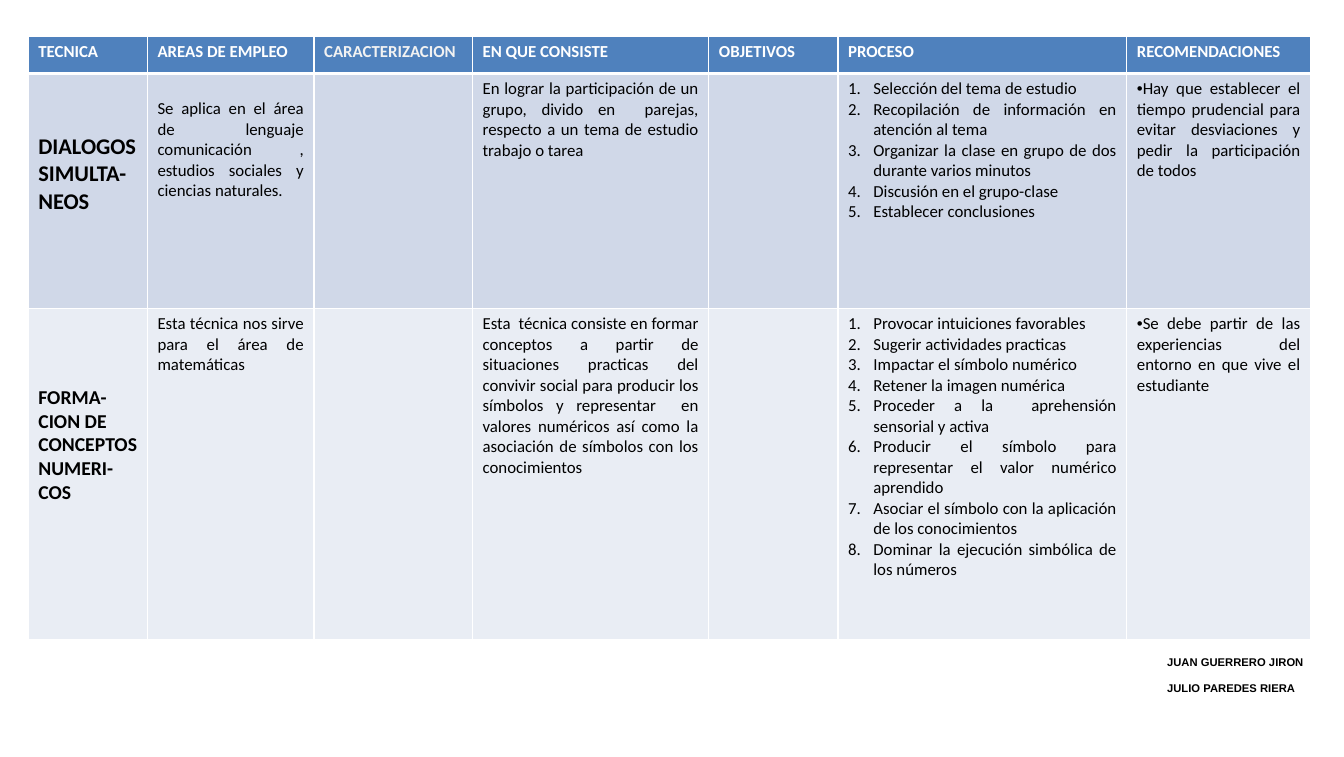
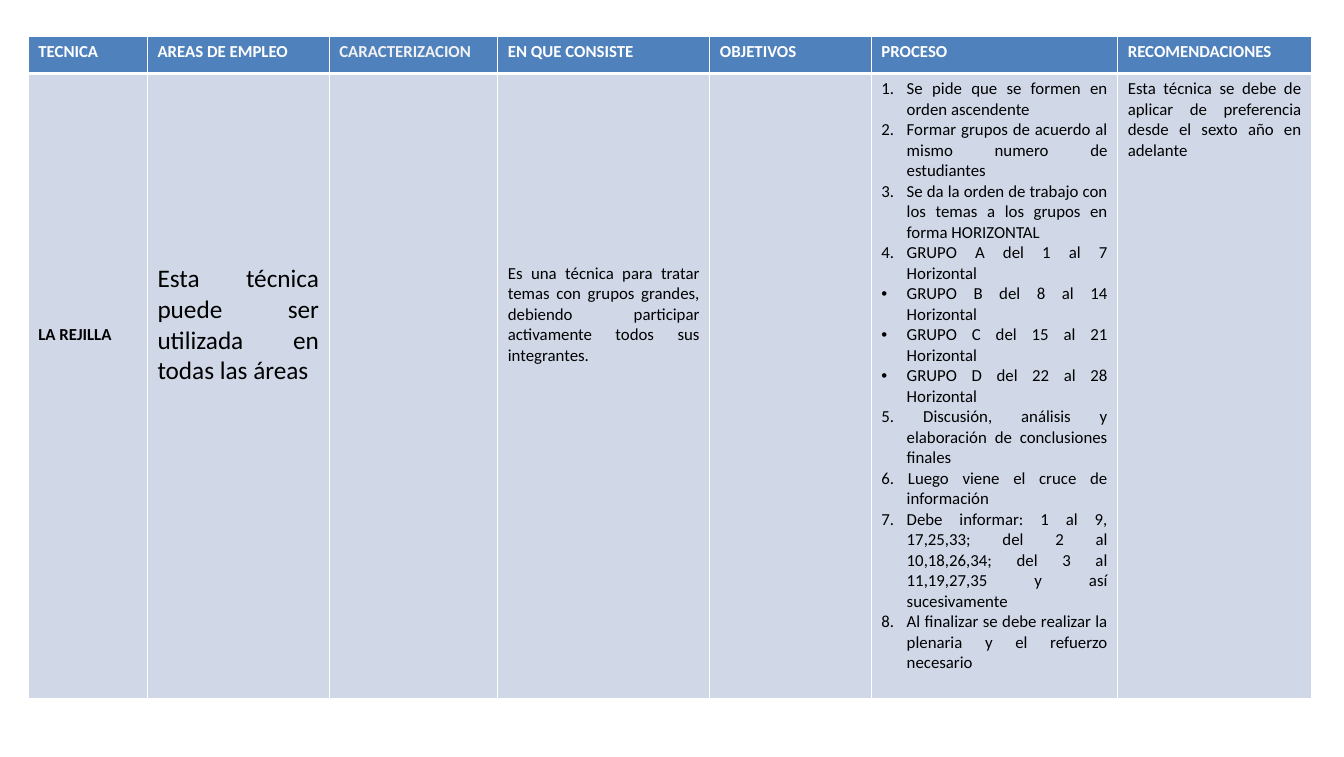
from dataclasses import dataclass
from typing import Optional

from lxml.etree import SubElement
from pptx import Presentation
from pptx.dml.color import RGBColor
from pptx.enum.text import MSO_ANCHOR as Anchor, PP_ALIGN as Align
from pptx.oxml.ns import qn
from pptx.util import Inches, Pt

BLUE, PALE, LIGHT = "4F81BD", "D0D8E8", "E9EDF4"
WHITE, OFF_WHITE, BLACK = "FFFFFF", "F2F2F2", "000000"
HEADERS = ("TECNICA", "AREAS DE EMPLEO", "CARACTERIZACION", "EN QUE CONSISTE",
           "OBJETIVOS", "PROCESO", "RECOMENDACIONES")
HEADER_HEIGHT = 0.37
BANDS = (PALE, LIGHT)


@dataclass(frozen=True)
class Line:
    """A paragraph with an optional bullet or number."""
    text: str
    mark: Optional[str] = None
    hang: float = 0
    start: int = 1


@dataclass(frozen=True)
class Entry:
    """The content of a table cell."""
    lines: tuple[Line, ...] = ()
    size: int = 12
    bold: bool = False
    color: str = BLACK
    align: Align = Align.JUSTIFY
    top: float = 0.05


@dataclass(frozen=True)
class Row:
    """A body row and its height."""
    height: float
    entries: tuple[Entry, ...]


@dataclass(frozen=True)
class Sheet:
    """A slide with one table and its authors."""
    widths: tuple[float, ...]
    rows: tuple[Row, ...]
    authors: tuple[str, ...] = ()


def rgb(value: str) -> RGBColor:
    """Return a colour from its hex string."""
    return RGBColor.from_string(value)


def plain(text: str, size: int = 12, top: float = 0.05) -> Entry:
    """Return a justified one-paragraph entry."""
    return Entry((Line(text),), size=size, top=top)


def name(text: str, size: int, top: float) -> Entry:
    """Return the bold name of a technique."""
    return Entry((Line(text),), size, True, align=Align.LEFT, top=top)


def steps(*texts: str, start: int = 1) -> tuple[Line, ...]:
    """Return numbered lines."""
    return tuple(Line(t, "number", 0.25, start) for t in texts)


def advice(text: str) -> Entry:
    """Return a bulleted recommendation."""
    return Entry((Line(text, "•"),))


EMPTY = Entry()

SHEETS = (
    Sheet(
        (1.18, 1.65, 1.57, 2.34, 1.28, 2.86, 1.82),
        (
            Row(2.33, (
                name("DIALOGOS SIMULTA-NEOS", 16, 0.59),
                plain("Se aplica en el área de lenguaje comunicación , estudios "
                      "sociales y ciencias naturales.", top=0.25),
                EMPTY,
                plain("En lograr la participación de un grupo, divido en  parejas, "
                      "respecto a un tema de estudio trabajo o tarea"),
                EMPTY,
                Entry(steps(
                    "Selección del tema de estudio",
                    "Recopilación de información en atención al tema",
                    "Organizar la clase en grupo de dos durante varios minutos",
                    "Discusión en el grupo-clase",
                    "Establecer conclusiones")),
                advice("Hay que establecer el tiempo prudencial para evitar "
                       "desviaciones y pedir la participación de todos"),
            )),
            Row(3.28, (
                name("FORMA-CION DE CONCEPTOS NUMERI-COS", 14, 0.76),
                plain("Esta técnica nos sirve para el área de matemáticas"),
                EMPTY,
                plain("Esta  técnica consiste en formar conceptos a partir de "
                      "situaciones practicas del convivir social para producir los "
                      "símbolos y representar  en valores numéricos así como la "
                      "asociación de símbolos con los conocimientos"),
                EMPTY,
                Entry(steps(
                    "Provocar intuiciones favorables",
                    "Sugerir actividades practicas",
                    "Impactar el símbolo numérico",
                    "Retener la imagen numérica",
                    "Proceder a la  aprehensión sensorial y activa",
                    "Producir el símbolo para representar el valor numérico aprendido",
                    "Asociar el símbolo con la aplicación de los conocimientos",
                    "Dominar la ejecución simbólica de los números")),
                advice("Se debe partir de las experiencias del entorno en que vive "
                       "el estudiante"),
            )),
        ),
        ("JUAN GUERRERO JIRON", "JULIO PAREDES RIERA"),
    ),
    Sheet(
        (1.18, 1.8, 1.67, 2.1, 1.6, 2.44, 1.92),
        (
            Row(6.19, (
                name("LA REJILLA", 12, 2.49),
                plain("Esta técnica puede ser utilizada en todas las áreas", 18, 1.88),
                EMPTY,
                plain("Es una técnica para tratar temas con grupos grandes, debiendo "
                      "participar activamente todos sus integrantes.", top=1.88),
                EMPTY,
                Entry((
                    *steps(
                        "Se pide que se formen en orden ascendente",
                        "Formar grupos de acuerdo al mismo numero de estudiantes",
                        "Se da la orden de trabajo con los temas a los grupos en "
                        "forma HORIZONTAL",
                        "GRUPO A del 1 al 7 Horizontal"),
                    Line("GRUPO B del 8 al 14 Horizontal", "•", 0.25),
                    Line("GRUPO C del 15 al 21 Horizontal", "•", 0.25),
                    Line("GRUPO D del 22 al 28 Horizontal", "•", 0.25),
                    Line("5. Discusión, análisis y elaboración de conclusiones "
                         "finales", hang=0.25),
                    Line("6. Luego viene el cruce de información", hang=0.25),
                    *steps(
                        "Debe informar: 1 al 9, 17,25,33; del 2 al 10,18,26,34; "
                        "del 3 al 11,19,27,35 y así sucesivamente",
                        "Al finalizar se debe realizar la plenaria y el refuerzo "
                        "necesario", start=7),
                )),
                plain("Esta técnica se debe de aplicar de preferencia desde el sexto "
                      "año en adelante"),
            )),
        ),
    ),
)


def add_run(p, text: str, size: int, font: str, color: str, bold: bool) -> None:
    """Add a formatted run to a paragraph."""
    r = p.add_run()
    r.text = text
    r.font.name, r.font.size, r.font.bold = font, Pt(size), bold
    r.font.color.rgb = rgb(color)


def set_mark(p, line: Line) -> None:
    """Set the indent and the bullet or number of a paragraph."""
    pPr = p._p.get_or_add_pPr()
    pPr.set("marL", str(Inches(line.hang)))
    pPr.set("indent", str(-Inches(line.hang)))
    if line.mark is None:
        SubElement(pPr, qn("a:buNone"))
    elif line.mark == "number":
        SubElement(pPr, qn("a:buFont"), typeface="+mj-lt")
        SubElement(pPr, qn("a:buAutoNum"), type="arabicPeriod", startAt=str(line.start))
    else:
        SubElement(pPr, qn("a:buFont"), typeface="Arial")
        SubElement(pPr, qn("a:buChar"), char=line.mark)


def set_borders(cell, top: int, bottom: int) -> None:
    """Draw white borders, with the given top and bottom widths."""
    tcPr = cell._tc.get_or_add_tcPr()
    for side, width in (("L", 1), ("R", 1), ("T", top), ("B", bottom)):
        ln = SubElement(tcPr, qn(f"a:ln{side}"), w=str(Pt(width)))
        fill = SubElement(ln, qn("a:solidFill"))
        SubElement(fill, qn("a:srgbClr"), val=WHITE)


def fill_cell(cell, entry: Entry, fill: str, top: int = 1, bottom: int = 1) -> None:
    """Write and format one table cell."""
    set_borders(cell, top, bottom)
    cell.fill.solid()
    cell.fill.fore_color.rgb = rgb(fill)
    cell.margin_left = cell.margin_right = Inches(0.1)
    cell.margin_top, cell.margin_bottom = Inches(entry.top), Inches(0.05)
    tf = cell.text_frame
    for i, line in enumerate(entry.lines):
        p = tf.add_paragraph() if i else tf.paragraphs[0]
        p.alignment = entry.align
        set_mark(p, line)
        add_run(p, line.text, entry.size, "Calibri", entry.color, entry.bold)


def add_grid(s, sheet: Sheet) -> None:
    """Add the table of techniques."""
    heights = (HEADER_HEIGHT, *(row.height for row in sheet.rows))
    table = s.shapes.add_table(
        len(heights), len(HEADERS), Inches(0.28), Inches(0.36),
        Inches(sum(sheet.widths)), Inches(sum(heights))).table
    table.horz_banding = False
    for column, width in zip(table.columns, sheet.widths):
        column.width = Inches(width)
    for row, height in zip(table.rows, heights):
        row.height = Inches(height)
    for j, text in enumerate(HEADERS):
        color = OFF_WHITE if text == "CARACTERIZACION" else WHITE
        header = Entry((Line(text),), bold=True, color=color)
        fill_cell(table.cell(0, j), header, BLUE, bottom=3)
    for i, row in enumerate(sheet.rows):
        for j, entry in enumerate(row.entries):
            fill_cell(table.cell(i + 1, j), entry, BANDS[i % 2], top=1 if i else 3)


def add_authors(s, authors: tuple[str, ...]) -> None:
    """Add the authors below the table."""
    sp = s.shapes.add_textbox(Inches(11.46), Inches(6.45), Inches(1.75), Inches(0.48))
    tf = sp.text_frame
    tf.word_wrap = True
    tf.vertical_anchor = Anchor.BOTTOM
    for i, author in enumerate(authors):
        p = tf.add_paragraph() if i else tf.paragraphs[0]
        if i:
            p.space_before = Pt(9)
        add_run(p, author, 8, "Arial", BLACK, True)


def main() -> None:
    """Build and save the slides."""
    prs = Presentation()
    prs.slide_width, prs.slide_height = Inches(13.31), Inches(7.5)
    for sheet in SHEETS:
        s = prs.slides.add_slide(prs.slide_layouts[6])
        add_grid(s, sheet)
        if sheet.authors:
            add_authors(s, sheet.authors)
    prs.save("out.pptx")


if __name__ == "__main__":
    main()
